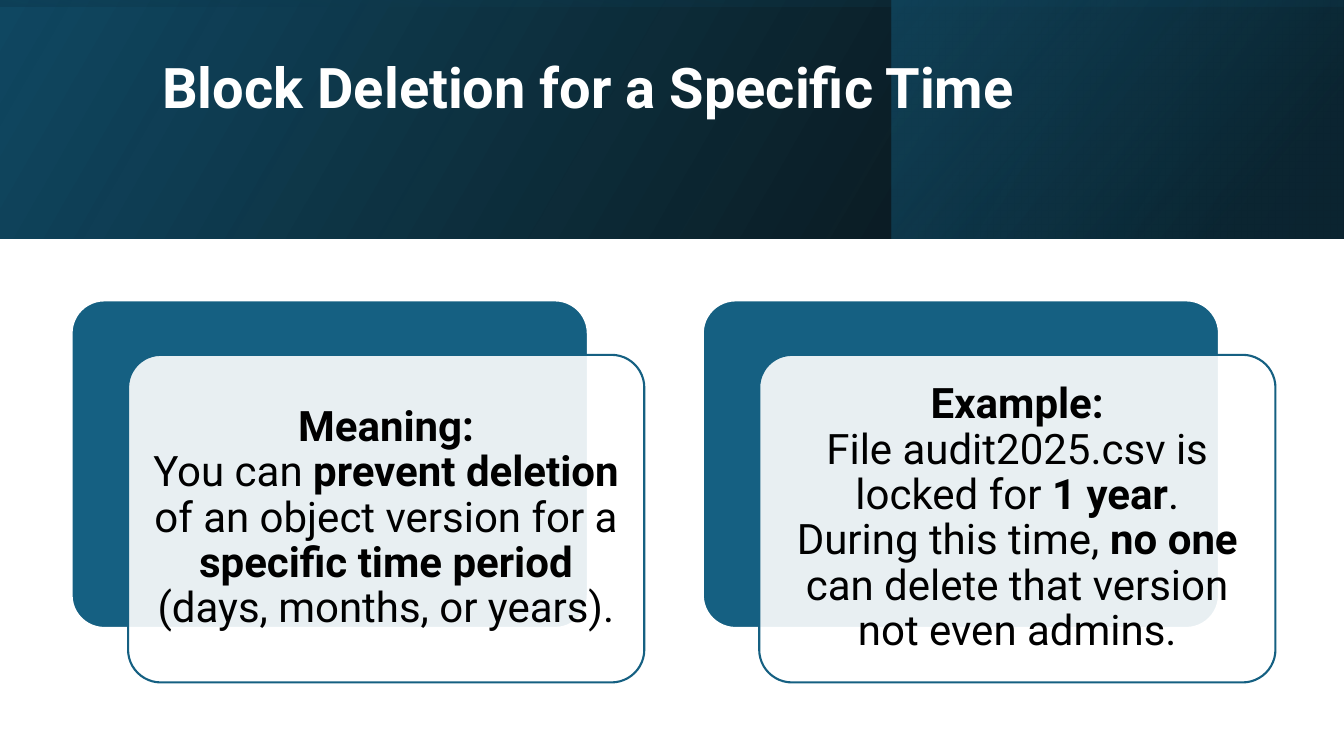
import pptx
import pptx.dml.color
import pptx.enum.shapes
import pptx.enum.text
import pptx.oxml
import pptx.oxml.ns
import pptx.util
from dataclasses import dataclass

Inches = pptx.util.Inches
Pt = pptx.util.Pt
SHAPE = pptx.enum.shapes.MSO_SHAPE
ALIGN = pptx.enum.text.PP_ALIGN
ANCHOR = pptx.enum.text.MSO_ANCHOR

TITLE = "Block Deletion for a Specific Time"

# Each card is a list of lines; each line is a list of (text, bold) runs.
CARDS = [
    [
        [("Meaning:", True)],
        [("You can ", False), ("prevent deletion", True),
         (" of an object version for a ", False),
         ("specific time period", True),
         (" (days, months, or years).", False)],
    ],
    [
        [("Example:", True)],
        [("File audit2025.csv is locked for ", False), ("1 year", True),
         (".", False)],
        [("During this time, ", False), ("no one", True),
         (" can delete that version not even admins.", False)],
    ],
]


@dataclass
class Theme:
    font: str = "Roboto"
    title_size: int = 40
    body_size: int = 30
    accent: str = "156082"
    navy: str = "104862"
    deep: str = "0B3041"
    black: str = "000000"
    white: str = "FFFFFF"


theme = Theme()

SLIDE_W, SLIDE_H = 13.33, 7.5
BAND_H = 2.37
CARD_W, CARD_H = 5.12, 3.25
CARD_LEFT, CARD_TOP, CARD_STEP = 0.71, 2.98, 6.26
FRONT_DX, FRONT_DY = 0.56, 0.54

# Band layers: box, rotation, gradient angle, stops (position, colour, opacity) in percent
BAND_LAYERS = [
    ((0, 0, SLIDE_W, BAND_H), 0, 330,
     [(0, theme.black, 96), (100, theme.navy, 100)]),
    ((8.84, 0, 4.48, BAND_H), 0, 320,
     [(19, theme.deep, 68), (100, theme.accent, 48)]),
    (((SLIDE_W - BAND_H) / 2, (BAND_H - SLIDE_W) / 2, BAND_H, SLIDE_W), 270, 350,
     [(23, theme.navy, 16), (99, theme.black, 45)]),
]


def rgb(color):
    return pptx.dml.color.RGBColor.from_string(color)


def add_shape(slide, kind, box):
    sp = slide.shapes.add_shape(kind, *map(Inches, box))
    sp.shadow.inherit = False
    return sp


def set_gradient(sp, angle, stops):
    """Replace the fill by a linear gradient with translucent stops."""
    sp.fill.background()
    gs = "".join(
        f'<a:gs pos="{pos * 1000}"><a:srgbClr val="{color}">'
        f'<a:alpha val="{opacity * 1000}"/></a:srgbClr></a:gs>'
        for pos, color, opacity in stops)
    grad = pptx.oxml.parse_xml(
        f'<a:gradFill {pptx.oxml.ns.nsdecls("a")} rotWithShape="1">'
        f'<a:gsLst>{gs}</a:gsLst><a:lin ang="{angle * 60000}" scaled="0"/></a:gradFill>')
    props = sp.element.spPr
    props.replace(props.find(pptx.oxml.ns.qn("a:noFill")), grad)


def add_band(slide):
    for box, rotation, angle, stops in BAND_LAYERS:
        sp = add_shape(slide, SHAPE.RECTANGLE, box)
        set_gradient(sp, angle, stops)
        sp.line.fill.background()
        sp.rotation = rotation
        sp.element.spPr.xfrm.set("flipH", "1")


def format_run(r, size, color, bold):
    r.font.name = theme.font
    r.font.size = Pt(size)
    r.font.bold = bold
    r.font.color.rgb = rgb(color)


def add_title(slide):
    sp = slide.shapes.title
    sp.left, sp.top, sp.width, sp.height = map(Inches, (1.51, 0.38, 10.63, 1.72))
    tf = sp.text_frame
    tf.text = TITLE
    tf.word_wrap = True
    tf.auto_size = pptx.enum.text.MSO_AUTO_SIZE.NONE
    tf.vertical_anchor = ANCHOR.MIDDLE
    tf.margin_bottom = Inches(0.73)
    p = tf.paragraphs[0]
    p.alignment = ALIGN.LEFT
    p.line_spacing = 0.9
    format_run(p.runs[0], theme.title_size, theme.white, True)
    # The title belongs above the band layers
    slide.shapes.element.append(sp.element)


def add_panel(slide, left, top, fill, line):
    sp = add_shape(slide, SHAPE.ROUNDED_RECTANGLE, (left, top, CARD_W, CARD_H))
    sp.adjustments[0] = 0.1
    sp.fill.solid()
    sp.fill.fore_color.rgb = rgb(fill)
    sp.line.color.rgb = rgb(line)
    sp.line.width = Pt(1.5)
    return sp


def add_card(slide, left, lines):
    add_panel(slide, left, CARD_TOP, theme.accent, theme.white)
    front = add_panel(slide, left + FRONT_DX, CARD_TOP + FRONT_DY,
                      theme.white, theme.accent)
    color = front.element.spPr.find(
        pptx.oxml.ns.qn("a:solidFill")).find(pptx.oxml.ns.qn("a:srgbClr"))
    color.append(pptx.oxml.parse_xml(
        f'<a:alpha {pptx.oxml.ns.nsdecls("a")} val="90000"/>'))

    tf = front.text_frame
    tf.word_wrap = True
    tf.vertical_anchor = ANCHOR.MIDDLE
    tf.margin_left = tf.margin_right = Inches(0.12)
    tf.margin_top = tf.margin_bottom = Inches(0.12)
    p = tf.paragraphs[0]
    p.alignment = ALIGN.CENTER
    p.line_spacing = 0.9
    for i, line in enumerate(lines):
        if i:
            p.add_line_break()
        for text, bold in line:
            r = p.add_run()
            r.text = text
            format_run(r, theme.body_size, theme.black, bold)


def main():
    prs = pptx.Presentation()
    prs.slide_width, prs.slide_height = Inches(SLIDE_W), Inches(SLIDE_H)
    slide = prs.slides.add_slide(prs.slide_layouts[5])
    add_band(slide)
    add_title(slide)
    for i, lines in enumerate(CARDS):
        add_card(slide, CARD_LEFT + i * CARD_STEP, lines)
    prs.save("out.pptx")


if __name__ == "__main__":
    main()
